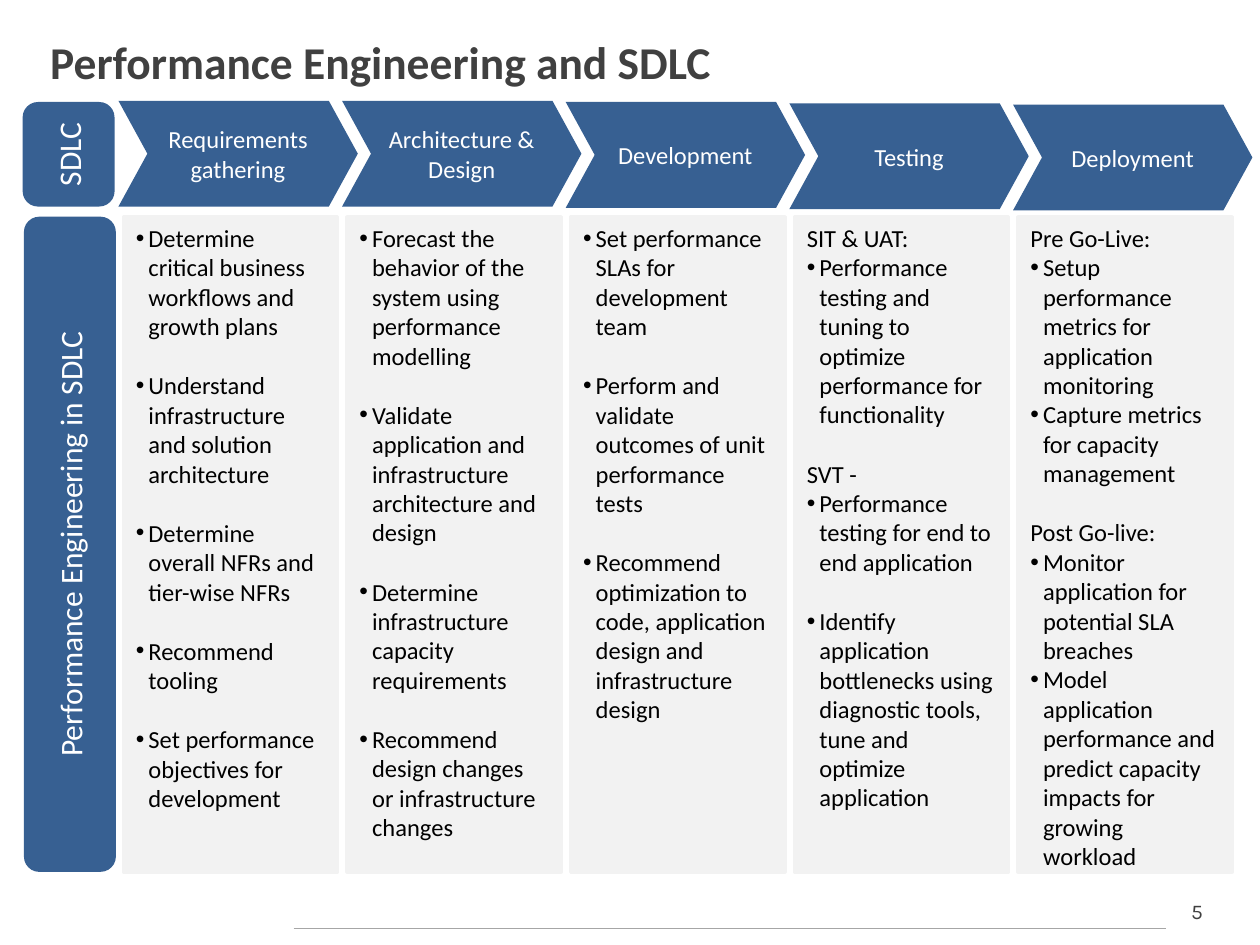
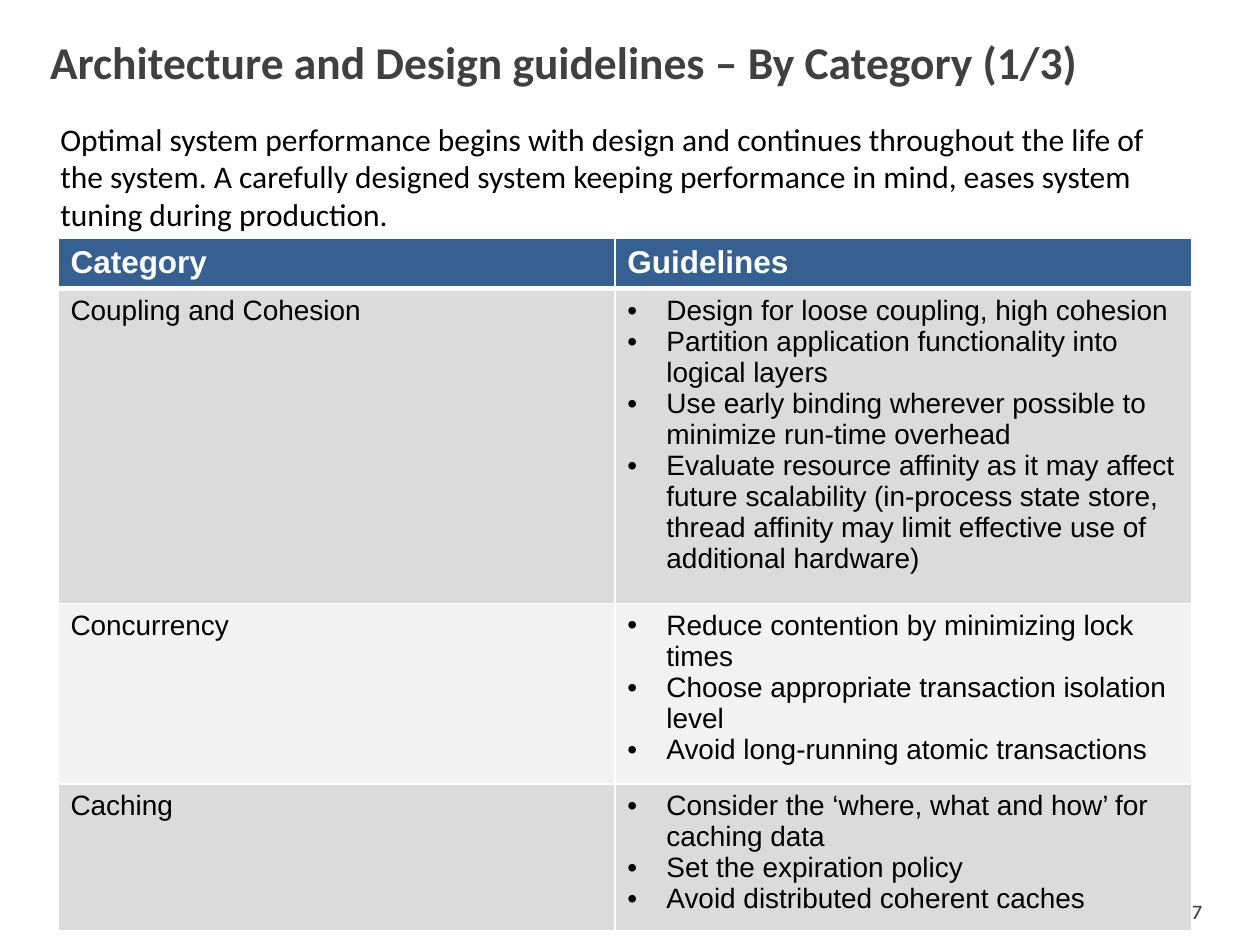
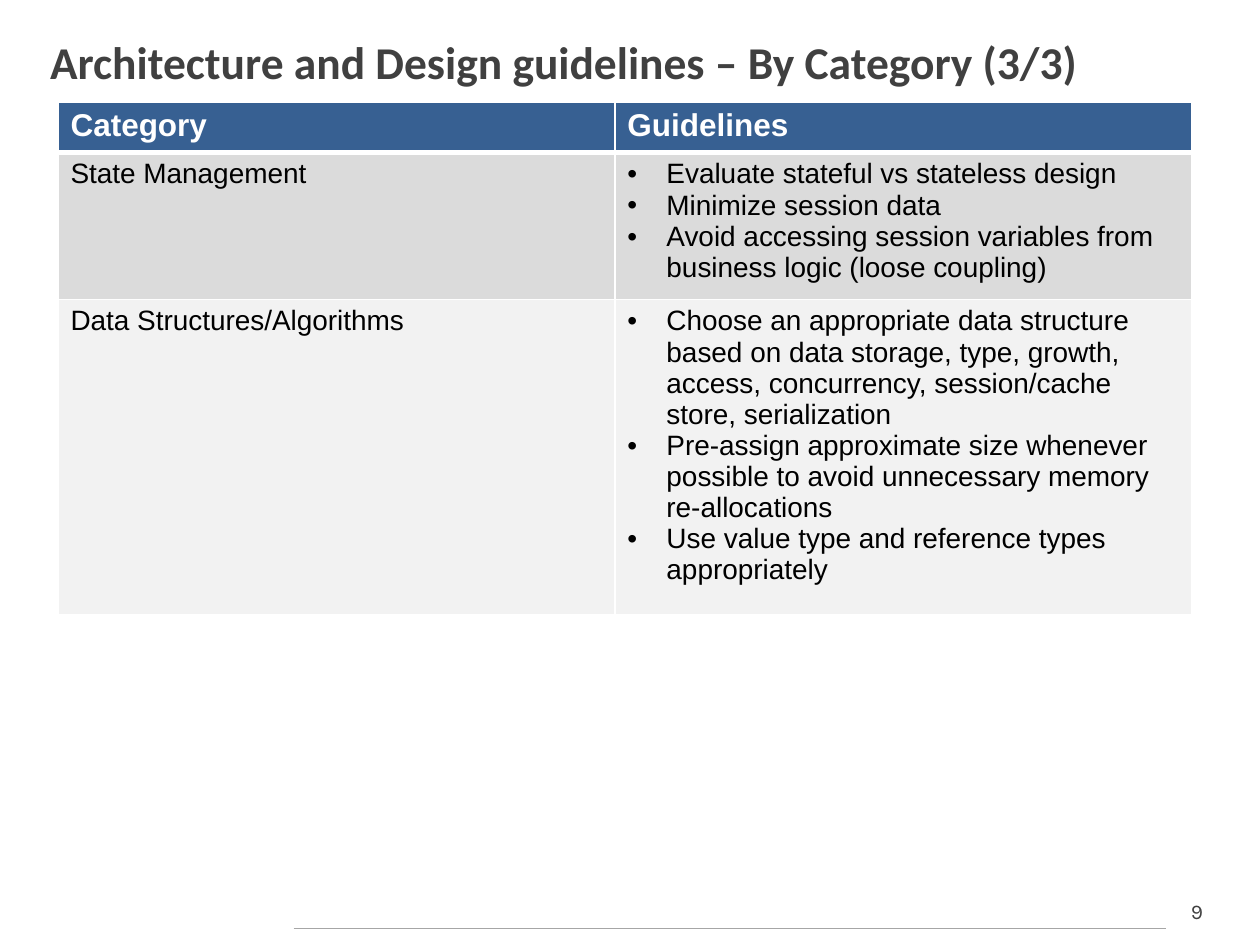
from lxml import etree
from pptx import Presentation
from pptx.dml.color import RGBColor
from pptx.enum import shapes, text
from pptx.oxml import ns
from pptx.util import Inches, Pt

BLUE = RGBColor(0x37, 0x60, 0x92)
PALE = RGBColor(0xF2, 0xF2, 0xF2)
BAND = RGBColor(0xDB, 0xDB, 0xDB)
RULE = RGBColor(0xA6, 0xA6, 0xA6)
DARK = RGBColor(0x40, 0x40, 0x40)
BLACK = RGBColor(0, 0, 0)
WHITE = RGBColor(255, 255, 255)

CENTER = text.PP_ALIGN.CENTER
MIDDLE = text.MSO_ANCHOR.MIDDLE
TOP = text.MSO_ANCHOR.TOP

# Phase name, then groups of (heading, bullets) set apart by a blank line's height
PHASES = [
    ("Requirements gathering", [
        (None, ["Determine critical business workflows and growth plans"]),
        (None, ["Understand infrastructure and solution architecture"]),
        (None, ["Determine overall NFRs and tier-wise NFRs"]),
        (None, ["Recommend tooling"]),
        (None, ["Set performance objectives for development"])]),
    ("Architecture & Design", [
        (None, ["Forecast the behavior of the system using performance modelling"]),
        (None, ["Validate application and infrastructure architecture and design"]),
        (None, ["Determine infrastructure capacity requirements"]),
        (None, ["Recommend design changes or infrastructure changes"])]),
    ("Development", [
        (None, ["Set performance SLAs for development team"]),
        (None, ["Perform and validate outcomes of unit performance tests"]),
        (None, ["Recommend optimization to code, application design and "
                "infrastructure design"])]),
    ("Testing", [
        ("SIT & UAT:", ["Performance testing and tuning to optimize performance "
                        "for functionality"]),
        ("SVT -", ["Performance testing for end to end application"]),
        (None, ["Identify application bottlenecks using diagnostic tools, tune "
                "and optimize application"])]),
    ("Deployment", [
        ("Pre Go-Live:", ["Setup performance metrics for application monitoring",
                          "Capture metrics for capacity management"]),
        ("Post Go-live:", ["Monitor application for potential SLA breaches",
                           "Model application performance and predict capacity "
                           "impacts for growing workload"])]),
]

INTRO = ("Optimal system performance begins with design and continues throughout "
         "the life of the system. A carefully designed system keeping performance "
         "in mind, eases system tuning during production.")

# Category, row height, guidelines
DESIGN_ROWS = [
    ("Coupling and Cohesion", 2.32, [
        "Design for loose coupling, high cohesion",
        "Partition application functionality into logical layers",
        "Use early binding wherever possible to minimize run-time overhead",
        "Evaluate resource affinity as it may affect future scalability (in-process "
        "state store, thread affinity may limit effective use of additional hardware)"]),
    ("Concurrency", 1.33, [
        "Reduce contention by minimizing lock times",
        "Choose appropriate transaction isolation level",
        "Avoid long-running atomic transactions"]),
    ("Caching", 1.09, [
        "Consider the ‘where, what and how’ for caching data",
        "Set the expiration policy",
        "Avoid distributed coherent caches"]),
]
STATE_ROWS = [
    ("State Management", 1.09, [
        "Evaluate stateful vs stateless design",
        "Minimize session data",
        "Avoid accessing session variables from business logic (loose coupling)"]),
    ("Data Structures/Algorithms", 2.32, [
        "Choose an appropriate data structure based on data storage, type, growth, "
        "access, concurrency, session/cache store, serialization",
        "Pre-assign approximate size whenever possible to avoid unnecessary memory "
        "re-allocations",
        "Use value type and reference types appropriately"]),
]


def box(left, top, width, height):
    return [Inches(v) for v in (left, top, width, height)]


def add_run(p, words, size, color, font="Calibri", bold=False):
    r = p.add_run()
    r.text = words
    r.font.size = Pt(size)
    r.font.name = font
    r.font.bold = bold
    r.font.color.rgb = color


def next_paragraph(tf):
    """Return the empty first paragraph, or a new one after it."""
    first = tf.paragraphs[0]
    return tf.add_paragraph() if first.runs else first


def set_bullet(p, indent):
    pPr = p._p.get_or_add_pPr()
    pPr.set("marL", str(Inches(indent)))
    pPr.set("indent", str(-Inches(indent)))
    etree.SubElement(pPr, ns.qn("a:buFont")).set("typeface", "Arial")
    etree.SubElement(pPr, ns.qn("a:buChar")).set("char", "•")


def add_label(s, at, words, size, color, font="Calibri", bold=False,
              align=None, anchor=TOP):
    tf = s.shapes.add_textbox(*box(*at)).text_frame
    tf.word_wrap = True
    tf.vertical_anchor = anchor
    p = tf.paragraphs[0]
    p.alignment = align
    add_run(p, words, size, color, font, bold)


def add_panel(s, kind, at, fill):
    sp = s.shapes.add_shape(kind, *box(*at))
    sp.shadow.inherit = False
    sp.fill.solid()
    sp.fill.fore_color.rgb = fill
    sp.line.fill.background()
    sp.text_frame.word_wrap = True
    return sp


def add_blue_label(s, kind, at, words, size):
    sp = add_panel(s, kind, at, BLUE)
    tf = sp.text_frame
    tf.vertical_anchor = MIDDLE
    p = tf.paragraphs[0]
    p.alignment = CENTER
    add_run(p, words, size, WHITE)
    return sp


def add_side_tab(s, at, words):
    """Rounded row label that reads from bottom to top."""
    sp = add_blue_label(s, shapes.MSO_SHAPE.ROUNDED_RECTANGLE, at, words, 18)
    sp.text_frame._txBody.bodyPr.set("vert", "vert270")


def add_activities(s, at, groups):
    sp = add_panel(s, shapes.MSO_SHAPE.RECTANGLE, at, PALE)
    sp.line.color.rgb = PALE
    sp.line.width = Pt(2)
    tf = sp.text_frame
    tf.vertical_anchor = TOP
    for i, (heading, bullets) in enumerate(groups):
        lines = ([(heading, False)] if heading else []) + [(b, True) for b in bullets]
        for j, (words, bulleted) in enumerate(lines):
            p = next_paragraph(tf)
            p.alignment = text.PP_ALIGN.LEFT
            if bulleted:
                set_bullet(p, 0.1)
            if i and not j:
                p.space_before = Pt(17)
            add_run(p, words, 14, BLACK)


def set_borders(cell, top, bottom):
    tcPr = cell._tc.get_or_add_tcPr()
    for side, width in (("L", 1), ("R", 1), ("T", top), ("B", bottom)):
        ln = etree.SubElement(tcPr, ns.qn("a:ln" + side), w=str(Pt(width)))
        fill = etree.SubElement(ln, ns.qn("a:solidFill"))
        etree.SubElement(fill, ns.qn("a:srgbClr")).set("val", str(WHITE))


def add_guidelines(s, left, top, rows):
    heights = [0.4] + [height for _, height, _ in rows]
    widths = (4.42, 4.58)
    table = s.shapes.add_table(len(heights), 2,
                               *box(left, top, sum(widths), sum(heights))).table
    for column, width in zip(table.columns, widths):
        column.width = Inches(width)
    content = [("Category", ["Guidelines"])] + [(name, lines) for name, _, lines in rows]
    for i, (name, lines) in enumerate(content):
        table.rows[i].height = Inches(heights[i])
        header = i == 0
        for j, paragraphs in enumerate(([name], lines)):
            cell = table.cell(i, j)
            set_borders(cell, 3 if i == 1 else 1, 3 if header else 1)
            cell.fill.solid()
            cell.fill.fore_color.rgb = BLUE if header else BAND if i % 2 else PALE
            for words in paragraphs:
                p = next_paragraph(cell.text_frame)
                if j and not header:
                    set_bullet(p, 0.31)
                add_run(p, words, 18 if header else 16,
                        WHITE if header else BLACK, "Arial", header)


def new_slide(prs, title, number):
    """Add a slide with the shared title, footer rule and page number."""
    s = prs.slides.add_slide(prs.slide_layouts[6])
    add_label(s, (9.25, 7.08, 0.5, 0.3), str(number), 12, DARK, "Karla", align=CENTER)
    rule = s.shapes.add_connector(shapes.MSO_CONNECTOR.STRAIGHT, Inches(2.33),
                                  Inches(7.37), Inches(9.25), Inches(7.37))
    rule.line.color.rgb = RULE
    rule.line.width = Pt(0.75)
    etree.SubElement(rule._element.spPr, ns.qn("a:effectLst"))
    add_label(s, (0.3, 0.17, 9.36, 0.63), title, 26, DARK, bold=True, anchor=MIDDLE)
    return s


def add_lifecycle(s, left, top):
    """Row of phase chevrons above one column of activities per phase."""
    pitch = 7.1 / (len(PHASES) - 1)
    for i, (name, _) in enumerate(PHASES):
        at = (left + 0.76 + i * pitch, top + 0.01 * max(0, i - 1), 1.9, 0.84)
        sp = add_blue_label(s, shapes.MSO_SHAPE.CHEVRON, at, name, 14)
        sp.adjustments[0] = 0.274
    for i, (_, groups) in enumerate(PHASES):
        add_activities(s, (left + 0.8 + i * pitch, top + 0.92, 1.7, 5.2), groups)
    add_side_tab(s, (left, top + 0.01, 0.73, 0.83), "SDLC")
    add_side_tab(s, (left + 0.01, top + 0.92, 0.73, 5.2),
                 "Performance Engineering in SDLC")


def main():
    prs = Presentation()
    prs.slide_width, prs.slide_height = Inches(10), Inches(7.5)

    s = new_slide(prs, "Performance Engineering and SDLC", 5)
    add_lifecycle(s, 0.18, 0.8)

    guidelines = "Architecture and Design guidelines – By Category"
    s = new_slide(prs, f"{guidelines} (1/3)", 7)
    add_label(s, (0.38, 0.9, 8.91, 0.98), INTRO, 18, BLACK)
    add_guidelines(s, 0.46, 1.89, DESIGN_ROWS)

    s = new_slide(prs, f"{guidelines} (3/3)", 9)
    add_guidelines(s, 0.46, 0.81, STATE_ROWS)

    prs.save("out.pptx")


if __name__ == "__main__":
    main()
